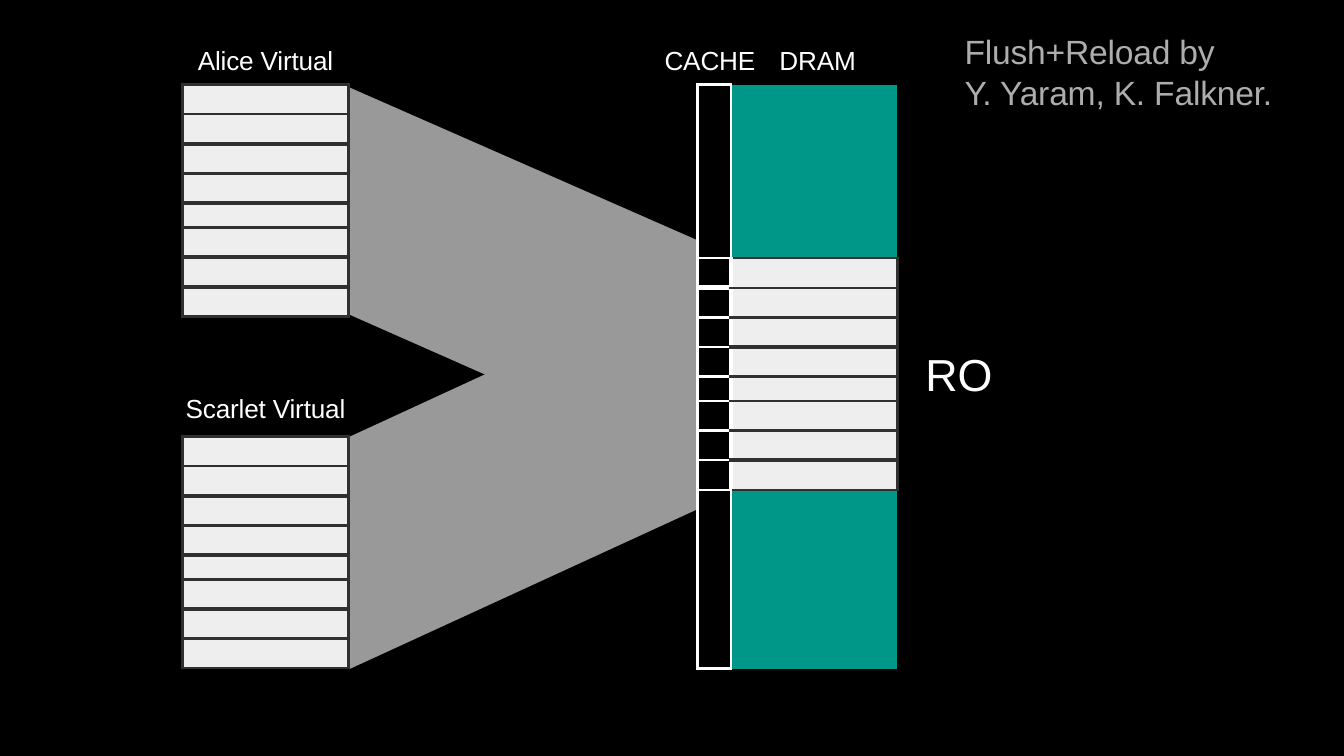
from lxml.etree import SubElement as Sub
from pptx import Presentation
from pptx.dml.color import RGBColor as RGB
from pptx.enum.text import MSO_AUTO_SIZE as Fit
from pptx.oxml import parse_xml
from pptx.oxml.ns import nsdecls, qn
from pptx.util import Cm, Pt

COLORS = {
    "back": "000000",
    "beam": "999999",
    "credit": "ADADAD",
    "text": "FFFFFF",
    "page": "EEEEEE",
    "edge": "303030",
    "cache": "000000",
    "glow": "FFFFFF",
    "dram": "009688",
}
PAGES = [0.56] * 4 + [0.46] + [0.56] * 3
# Widths of the top and bottom line of each row, in points
PAGE_LINES = ([(1.5, 1.5)] + [(1.5, 2.25)] * 3 + [(2.25, 1.5)]
              + [(1.5, 2.25)] * 2 + [(2.25, 1.5)])
CACHE_LINES = [(1.5, 3), (3, 2.25), (2.25, 1.5), (1.5, 2.25),
               (2.25, 1.5), (1.5, 1.5), (1.5, 1.5), (1.5, 1.5)]


def color(name):
    return RGB.from_string(COLORS[name])


def beam(slide, x, y, points):
    start, *rest = [(Cm(x + dx), Cm(y + dy)) for dx, dy in points]
    build = slide.shapes.build_freeform(*start)
    build.add_line_segments(rest, close=True)
    shape = build.convert_to_shape()
    shape.shadow.inherit = False
    shape.fill.solid()
    shape.fill.fore_color.rgb = color("beam")
    shape.line.fill.background()


def label(slide, x, y, w, h, lines, size=14, ink="text"):
    frame = slide.shapes.add_textbox(Cm(x), Cm(y), Cm(w), Cm(h)).text_frame
    setup = {"margin_left": 0, "margin_right": 0, "margin_bottom": 0,
             "margin_top": Cm(0.03), "word_wrap": True,
             "auto_size": Fit.SHAPE_TO_FIT_TEXT}
    for key, value in setup.items():
        setattr(frame, key, value)
    for i, line in enumerate(lines):
        para = frame.add_paragraph() if i else frame.paragraphs[0]
        para.space_before = Pt(0.1 if i else 1)
        run = para.add_run()
        run.text = line
        for key, value in {"name": "Arial", "size": Pt(size)}.items():
            setattr(run.font, key, value)
        run.font.color.rgb = color(ink)
        run.font._element.set("spc", "-10")
        para._p.get_or_add_pPr().set("marL", str(Cm(0.03)))


def paint(cell, fill, **edges):
    """Fill a cell and draw its edges L, R, T, B, each a (colour, width) pair."""
    cell.fill.solid()
    cell.fill.fore_color.rgb = color(fill)
    for side in ("left", "right", "top", "bottom"):
        setattr(cell, "margin_" + side, 0)
    end = Sub(cell.text_frame.paragraphs[0]._p, qn("a:endParaRPr"))
    end.set("sz", "600")
    props = cell._tc.get_or_add_tcPr()
    for i, side in enumerate("LRTB"):
        name, width = edges.get(side, (None, 0))
        ink = (f'<a:solidFill><a:srgbClr val="{COLORS[name]}"/></a:solidFill>'
               if name else "<a:noFill/>")
        props.insert(i, parse_xml(f'<a:ln{side} {nsdecls("a")} '
                                  f'w="{Pt(width)}">{ink}</a:ln{side}>'))


def grid(slide, x, y, cols, rows):
    frame = slide.shapes.add_table(len(rows), len(cols), Cm(x), Cm(y),
                                   Cm(sum(cols)), Cm(sum(rows)))
    table = frame.table
    table.first_row = table.horz_banding = False
    for col, width in zip(table.columns, cols):
        col.width = Cm(width)
    for row, height in zip(table.rows, rows):
        row.height = Cm(height)
    return table


def space(slide, x, y, w):
    """Draw the virtual pages of one process."""
    table = grid(slide, x, y, [w], PAGES)
    side = ("edge", 1.5)
    for i, (top, low) in enumerate(PAGE_LINES):
        paint(table.cell(i, 0), "page", L=side, R=side,
              T=("edge", top), B=("edge", low))


def memory(slide, x, y, cols, above, below):
    """Draw cache and DRAM, with the shared pages in the middle."""
    table = grid(slide, x, y, cols, [above, *PAGES, below])
    edge, glow, seam = ("edge", 1.5), ("glow", 1.5), ("glow", 2.25)
    last = len(PAGES) + 1
    for row, side in ((0, "B"), (last, "T")):
        paint(table.cell(row, 0), "cache", L=glow, R=glow, T=glow, B=glow)
        paint(table.cell(row, 1), "dram", L=glow, **{side: edge})
    for i, (cache, page) in enumerate(zip(CACHE_LINES, PAGE_LINES), 1):
        paint(table.cell(i, 0), "cache", L=glow, R=seam,
              T=("glow", cache[0]), B=("glow", cache[1]))
        paint(table.cell(i, 1), "page", L=seam, R=edge,
              T=("edge", page[0]), B=("edge", page[1]))


def main():
    deck = Presentation()
    deck.slide_width, deck.slide_height = Cm(25.4), Cm(14.29)
    slide = deck.slides.add_slide(deck.slide_layouts[6])
    slide.background.fill.solid()
    slide.background.fill.fore_color.rgb = color("back")

    beam(slide, 4.98, 1.63, [(8.51, 7.36), (0, 3.6), (1.57, 0),
                             (10.11, 3.75), (11.1, 6.35)])
    beam(slide, 4.95, 4.9, [(1.65, 7.75), (0, 4.12), (8.94, 0),
                            (11.59, 0.99), (10.62, 3.63)])
    label(slide, 18.2, 0.56, 6.12, 1.6,
          ["Flush+Reload by", "Y. Yaram, K. Falkner."], 18, "credit")
    label(slide, 14.7, 0.81, 1.52, 0.66, ["DRAM"])
    label(slide, 12.53, 0.81, 1.8, 0.66, ["CACHE"])
    label(slide, 3.71, 0.81, 2.67, 0.66, ["Alice Virtual"])
    label(slide, 3.48, 7.39, 3.12, 0.66, ["Scarlet Virtual"])
    for top in (1.6, 8.25):
        space(slide, 3.45, top, 3.14)
    memory(slide, 13.18, 1.6, [0.63, 3.15], 3.28, 3.38)
    label(slide, 17.46, 6.53, 1.35, 1.09, ["RO"], 24)
    deck.save("out.pptx")


if __name__ == "__main__":
    main()
